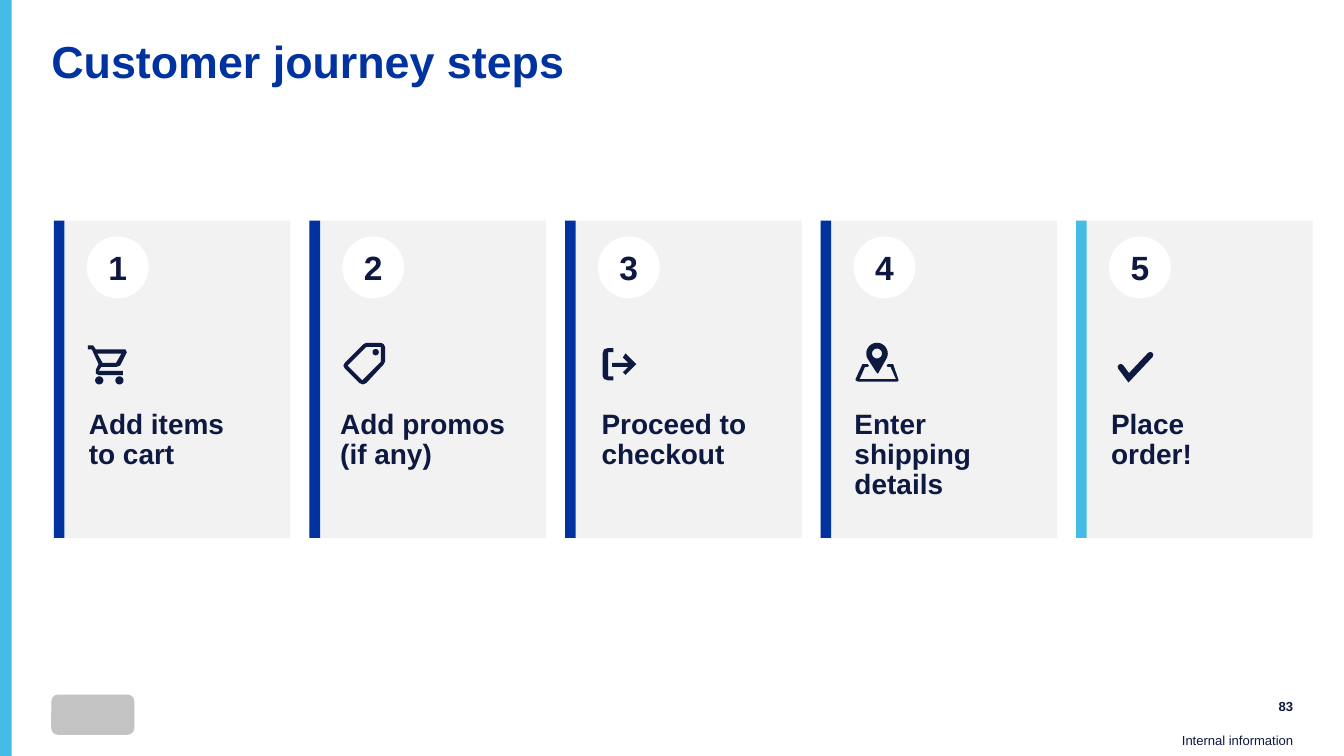
from math import cos, radians, sin

from pptx import Presentation
from pptx import util as u
from pptx.dml.color import RGBColor
from pptx.enum import shapes, text
from pptx.oxml.xmlchemy import OxmlElement

Cm, Pt = u.Cm, u.Pt
KIND = shapes.MSO_SHAPE
NAVY, BLUE, SKY, PALE, WHITE = "0E1941", "0033A0", "45BCE5", "F2F2F2", "FFFFFF"


def ring(x, y, r, start=0, end=360):
    """Points along an arc, one every ten degrees."""
    return [(x + r * cos(radians(a)), y + r * sin(radians(a)))
            for a in range(start, end + 1, 10)]


# Icons: each is a list of shapes, each shape a list of outlines (1/100 inch)
cart = [[
    [(21, 16), (24, 15), (29, 5), (28, 3), (6, 3), (4, 0), (0, 0), (0, 3),
     (3, 3), (8, 14), (6, 18), (6, 21), (8, 22), (26, 22), (26, 19), (8, 19),
     (10, 16)],
    [(7, 6), (25, 6), (21, 13), (11, 13)],
    ring(8.5, 26, 3), ring(23.5, 26, 3),
]]
tag = [
    [[(1, 15), (15, 1), (17, 0), (28, 0), (30, 1), (31, 3), (31, 14), (30, 16),
      (17, 30), (14.5, 31), (12, 30), (1, 19), (0, 17)],
     [(14, 28), (28, 14), (28, 3), (17, 3), (3, 17)]],
    [ring(24, 7, 2.3)],
]
leave = [[
    [(8, 21), (4, 21), (4, 3), (8, 3), (8, 0), (4, 0), (1, 1), (0, 4),
     (0, 21), (1, 23), (4, 24), (8, 24)],
    [(17, 4), (15, 7), (19, 11), (7, 11), (7, 14), (19, 14), (15, 18),
     (17, 20), (25, 12)],
]]
place = [
    [[(31, 29), (2, 29), (0, 28), (0, 27), (5, 16), (9, 16), (10, 17), (9, 18),
      (7, 18), (3, 27), (30, 27), (26, 18), (24, 18), (23, 17), (24, 16),
      (28, 16), (32, 28)]],
    [ring(16, 8, 8, 150, 390) + [(17.3, 22), (16.5, 23), (15.5, 22)],
     ring(16, 8, 3.7)],
]
check = [[[(0, 9), (6, 17), (22, 0)]]]

# Steps: paragraphs, label inset, icon, icon inset, icon top, bar colour
STEPS = [
    (["Add items", "to cart"], 0.66, cart, 0.64, 6.53, BLUE),
    (["Add promos\v(if any)"], 0.58, tag, 0.64, 6.48, BLUE),
    (["Proceed to checkout"], 0.69, leave, 0.71, 6.58, BLUE),
    (["Enter\vshipping details"], 0.64, place, 0.66, 6.48, BLUE),
    (["Place", "order!"], 0.66, check, 0.84, 6.71, SKY),
]
LEFT, TOP, PITCH, WIDE, HIGH = 1.02, 4.17, 4.83, 4.47, 6


def tint(hue):
    return RGBColor.from_string(hue)


def paint(shape, hue):
    shape.shadow.inherit = False
    shape.fill.solid()
    shape.fill.fore_color.rgb = tint(hue)
    shape.line.fill.background()


def block(kind, x, y, w, h, hue):
    shape = slide.shapes.add_shape(kind, Cm(x), Cm(y), Cm(w), Cm(h))
    paint(shape, hue)
    return shape


def write(shape, lines, size, hue=NAVY, bold=True, align=text.PP_ALIGN.LEFT,
          anchor=text.MSO_ANCHOR.TOP, space=None):
    frame = shape.text_frame
    frame.word_wrap = True
    frame.auto_size = text.MSO_AUTO_SIZE.NONE
    frame.vertical_anchor = anchor
    frame.margin_left = frame.margin_right = 0
    frame.margin_top = frame.margin_bottom = 0
    for i, line in enumerate(lines):
        para = frame.paragraphs[0] if i == 0 else frame.add_paragraph()
        para.text = line
        para.alignment = align
        para.line_spacing = space
        font = para.font
        font.name, font.size, font.bold = "Arial", Pt(size), bold
        font.color.rgb = tint(hue)
    return frame


def label(x, y, w, h, lines, size, **style):
    box = slide.shapes.add_textbox(Cm(x), Cm(y), Cm(w), Cm(h))
    return write(box, lines, size, **style)


def draw(icon, x, y):
    for paths in icon:
        pen = None
        for path in paths:
            dots = [(10 * a, 10 * b) for a, b in path]
            if pen is None:
                pen = slide.shapes.build_freeform(*dots[0], scale=Cm(2.54) / 1000)
            else:
                pen.move_to(*dots[0])
            pen.add_line_segments(dots[1:], close=icon is not check)
        shape = pen.convert_to_shape(Cm(x), Cm(y))
        paint(shape, NAVY)
        if icon is check:
            shape.fill.background()
            shape.line.color.rgb = tint(NAVY)
            shape.line.width = Pt(3.25)
            line = shape.line._get_or_add_ln()
            line.set("cap", "rnd")
            join = OxmlElement("a:miter")
            join.set("lim", "800000")
            line.append(join)


deck = Presentation()
deck.slide_width, deck.slide_height = Cm(25.4), Cm(14.29)
slide = deck.slides.add_slide(deck.slide_layouts[5])

# Frame: side strip, footer, grey mark
block(KIND.RECTANGLE, 0, 0, 0.22, 14.29, SKY)
right = text.PP_ALIGN.RIGHT
foot = label(22.15, 13.87, 2.29, 0.41, ["Internal information"], 7, bold=False,
             align=right, anchor=text.MSO_ANCHOR.BOTTOM)
foot.margin_bottom = Cm(0.13)
label(22.94, 13.13, 1.5, 0.46, ["83"], 7, align=right,
      anchor=text.MSO_ANCHOR.MIDDLE)
block(KIND.ROUNDED_RECTANGLE, 0.97, 13.13, 1.57, 0.76, "C3C3C3")

# Title
title = slide.shapes.title
title.left, title.top, title.width, title.height = Cm(0.97), Cm(0.76), Cm(23.5), Cm(1.24)
write(title, ["Customer journey steps"], 24, BLUE, space=0.9)

# Step cards
for i, (lines, inset, icon, shift, high, hue) in enumerate(STEPS):
    x = LEFT + i * PITCH
    block(KIND.RECTANGLE, x, TOP, WIDE, HIGH, PALE)
    block(KIND.RECTANGLE, x, TOP, 0.2, HIGH, hue)
    badge = block(KIND.OVAL, x + 0.62, TOP + 0.3, 1.17, 1.17, WHITE)
    write(badge, [str(i + 1)], 18, align=text.PP_ALIGN.CENTER,
          anchor=text.MSO_ANCHOR.MIDDLE)
    draw(icon, x + shift, high)
    label(x + inset, 7.75, 3.81, 1.73, lines, 15, space=0.9)

deck.save("out.pptx")
